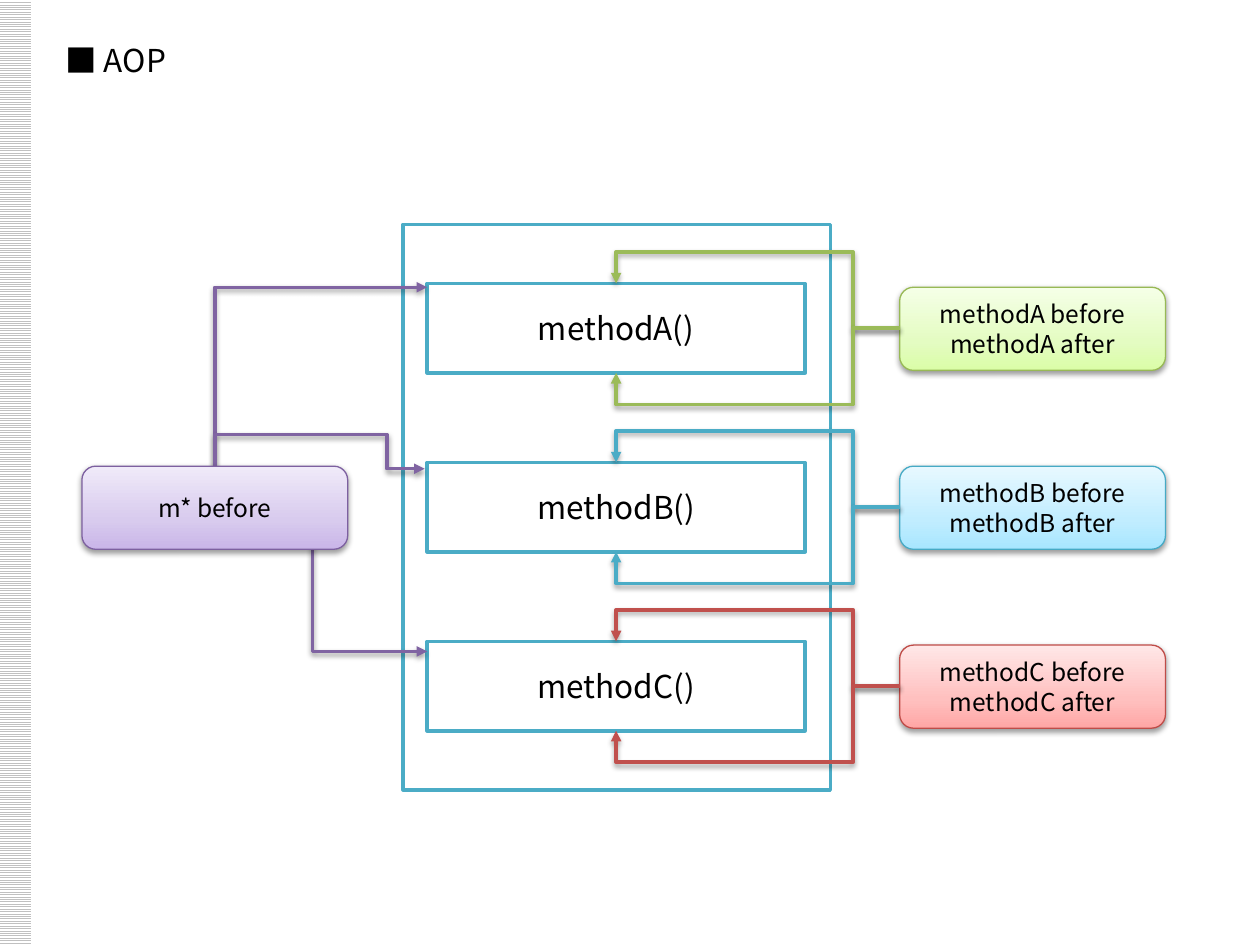
from copy import deepcopy
from dataclasses import dataclass

from lxml import etree
from pptx import Presentation
from pptx.dml.color import RGBColor
from pptx.enum.dml import MSO_PATTERN
from pptx.enum.shapes import MSO_CONNECTOR, MSO_SHAPE
from pptx.enum.text import MSO_ANCHOR, MSO_AUTO_SIZE, PP_ALIGN
from pptx.oxml.ns import qn
from pptx.util import Inches, Pt

RECT, ROUNDED = MSO_SHAPE.RECTANGLE, MSO_SHAPE.ROUNDED_RECTANGLE
ELBOW = MSO_CONNECTOR.ELBOW
CENTER, MIDDLE = PP_ALIGN.CENTER, MSO_ANCHOR.MIDDLE
LIGHT_HORIZONTAL = MSO_PATTERN.LIGHT_HORIZONTAL


@dataclass(frozen=True)
class Tone:
    wire: str
    border: str
    gradient: tuple  # from bottom to top


@dataclass(frozen=True)
class Theme:
    font: str = "Noto Sans CJK KR"
    large: int = 18
    small: int = 14
    text: str = "000000"
    paper: str = "FFFFFF"
    stripe: str = "C0C0C0"
    frame: str = "4BACC6"
    stops: tuple = (0, 0.35, 1)
    green: Tone = Tone("9BBB59", "98B955", ("DAFDA7", "E4FCC2", "F5FFE7"))
    blue: Tone = Tone("4BACC6", "46AAC5", ("A7E6FF", "C1EDFF", "E7F8FF"))
    red: Tone = Tone("C0504D", "BF4C48", ("FFA6A5", "FFC0BF", "FFE7E7"))
    purple: Tone = Tone("8064A2", "7D60A0", ("C9B5E8", "D8CBEE", "F0EAF9"))


THEME = Theme()


def rgb(value):
    return RGBColor.from_string(value)


def write(frame, *lines, size, align=None, anchor=None, spacing=None):
    frame.vertical_anchor = anchor
    for index, line in enumerate(lines):
        paragraph = frame.add_paragraph() if index else frame.paragraphs[0]
        paragraph.alignment, paragraph.line_spacing = align, spacing
        run = paragraph.add_run()
        run.text = line
        run.font.size = Pt(size)
        run.font.color.rgb = rgb(THEME.text)
        run.font.name = THEME.font
        etree.SubElement(run.font._element, qn("a:ea"), typeface=THEME.font)


def add_shadow(properties):
    effects = etree.SubElement(properties, qn("a:effectLst"))
    shadow = etree.SubElement(effects, qn("a:outerShdw"), blurRad="40000",
                              dist="20000", dir="5400000", rotWithShape="0")
    black = etree.SubElement(shadow, qn("a:srgbClr"), val="000000")
    etree.SubElement(black, qn("a:alpha"), val="38000")


def add_panel(slide, box):
    panel = slide.shapes.add_shape(RECT, *map(Inches, box))
    panel.shadow.inherit = False
    panel.fill.solid()
    panel.fill.fore_color.rgb = rgb(THEME.paper)
    panel.line.color.rgb = rgb(THEME.frame)
    panel.line.width = Pt(2)
    return panel


def add_advice(slide, box, tone, *lines):
    advice = slide.shapes.add_shape(ROUNDED, *map(Inches, box))
    properties = advice._element.spPr
    advice.fill.gradient()
    advice.fill.gradient_angle = 90
    stop_list = properties.find(".//" + qn("a:gsLst"))
    stop_list.append(deepcopy(stop_list[-1]))
    for stop, position, color in zip(advice.fill.gradient_stops, THEME.stops, tone.gradient):
        stop.position = position
        stop.color.rgb = rgb(color)
    advice.line.color.rgb = rgb(tone.border)
    advice.line.width = Pt(0.75)
    add_shadow(properties)
    write(advice.text_frame, *lines, size=THEME.small, align=CENTER, anchor=MIDDLE)


def add_elbow(slide, start, end, color, turn=None, upright=False):
    """Arrow with one bend, or three around the corner `turn`; upright ones leave vertically."""
    (x1, y1), (x2, y2) = start, end
    begin, finish = start, end
    if upright:
        middle_x, middle_y = (x1 + x2) / 2, (y1 + y2) / 2
        half_x, half_y = (y2 - y1) / 2, (x2 - x1) / 2
        begin = middle_x + half_x, middle_y - half_y
        finish = middle_x - half_x, middle_y + half_y
    elbow = slide.shapes.add_connector(ELBOW, *map(Inches, begin + finish))
    properties = elbow._element.spPr
    if upright:
        properties.find(qn("a:xfrm")).set("rot", str(270 * 60000))
    geometry = properties.find(qn("a:prstGeom"))
    geometry.set("prst", "bentConnector4" if turn else "bentConnector2")
    if turn:
        ratios = [(turn[0] - x1) / (x2 - x1), (turn[1] - y1) / (y2 - y1)]
        if upright:
            ratios.reverse()
        for number, ratio in enumerate(ratios, 1):
            etree.SubElement(geometry.find(qn("a:avLst")), qn("a:gd"),
                             name=f"adj{number}", fmla=f"val {round(ratio * 100000)}")
    elbow.line.color.rgb = rgb(color)
    elbow.line.width = Pt(2)
    etree.SubElement(properties.find(qn("a:ln")), qn("a:tailEnd"), type="triangle")
    add_shadow(properties)


def add_side_stripe(slide, box):
    stripe = slide.shapes.add_shape(RECT, *map(Inches, box))
    stripe.shadow.inherit = False
    stripe.fill.patterned()
    stripe.fill.pattern = LIGHT_HORIZONTAL
    stripe.fill.fore_color.rgb = rgb(THEME.stripe)
    stripe.fill.back_color.rgb = rgb(THEME.paper)
    stripe.line.fill.background()


def add_title(slide, box):
    title = slide.shapes.add_textbox(*map(Inches, box)).text_frame
    title.word_wrap = False
    title.auto_size = MSO_AUTO_SIZE.SHAPE_TO_FIT_TEXT
    write(title, "■ AOP", size=THEME.large, spacing=1.5)


def add_method_row(slide, box, name, tone):
    """Method box with its advice on the right, wired to its top and bottom edges."""
    left, top, width, height = box
    method = add_panel(slide, box)
    write(method.text_frame, f"{name}()", size=THEME.large, align=CENTER, anchor=MIDDLE)
    advice_left, center_y = left + 3.75, top + height / 2
    add_advice(slide, (advice_left, top + 0.03, 2.11, 0.66), tone,
               f"{name} before", f"{name} after")
    for edge, outside in ((top, top - 0.25), (top + height, top + height + 0.25)):
        add_elbow(slide, (advice_left, center_y), (left + width / 2, edge), tone.wire,
                  turn=(advice_left - 0.37, outside))


def add_shared_advice(slide, box, method_left, method_tops):
    """Advice that applies to every method, wired to each method's left edge."""
    left, top, width, _ = box
    first, second, third = method_tops
    wire = THEME.purple.wire
    middle = left + width / 2
    add_elbow(slide, (middle, top), (method_left, first + 0.03), wire, upright=True)
    add_elbow(slide, (middle, top), (method_left - 0.02, second + 0.05), wire,
              turn=(method_left - 0.32, top - 0.25), upright=True)
    add_elbow(slide, (left + 1.83, top + 0.05), (method_left, third + 0.08), wire, upright=True)
    add_advice(slide, box, THEME.purple, "m* before")


def add_diagram(slide, box):
    left, top, _, _ = box
    add_panel(slide, box)
    method_left = left + 0.19
    method_tops = [top + 0.47 + 1.42 * row for row in range(3)]
    tones = (THEME.green, THEME.blue, THEME.red)
    for letter, method_top, tone in zip("ABC", method_tops, tones):
        add_method_row(slide, (method_left, method_top, 3, 0.71), f"method{letter}", tone)
    add_shared_advice(slide, (left - 2.55, method_tops[1] + 0.03, 2.11, 0.66),
                      method_left, method_tops)


def main():
    deck = Presentation()
    deck.slide_width, deck.slide_height = Inches(10), Inches(7.5)
    slide = deck.slides.add_slide(deck.slide_layouts[6])
    add_side_stripe(slide, (0, 0, 0.25, 7.5))
    add_title(slide, (0.42, 0.13, 1.05, 0.5))
    add_diagram(slide, (3.2, 1.78, 3.39, 4.49))
    deck.save("out.pptx")


if __name__ == "__main__":
    main()
